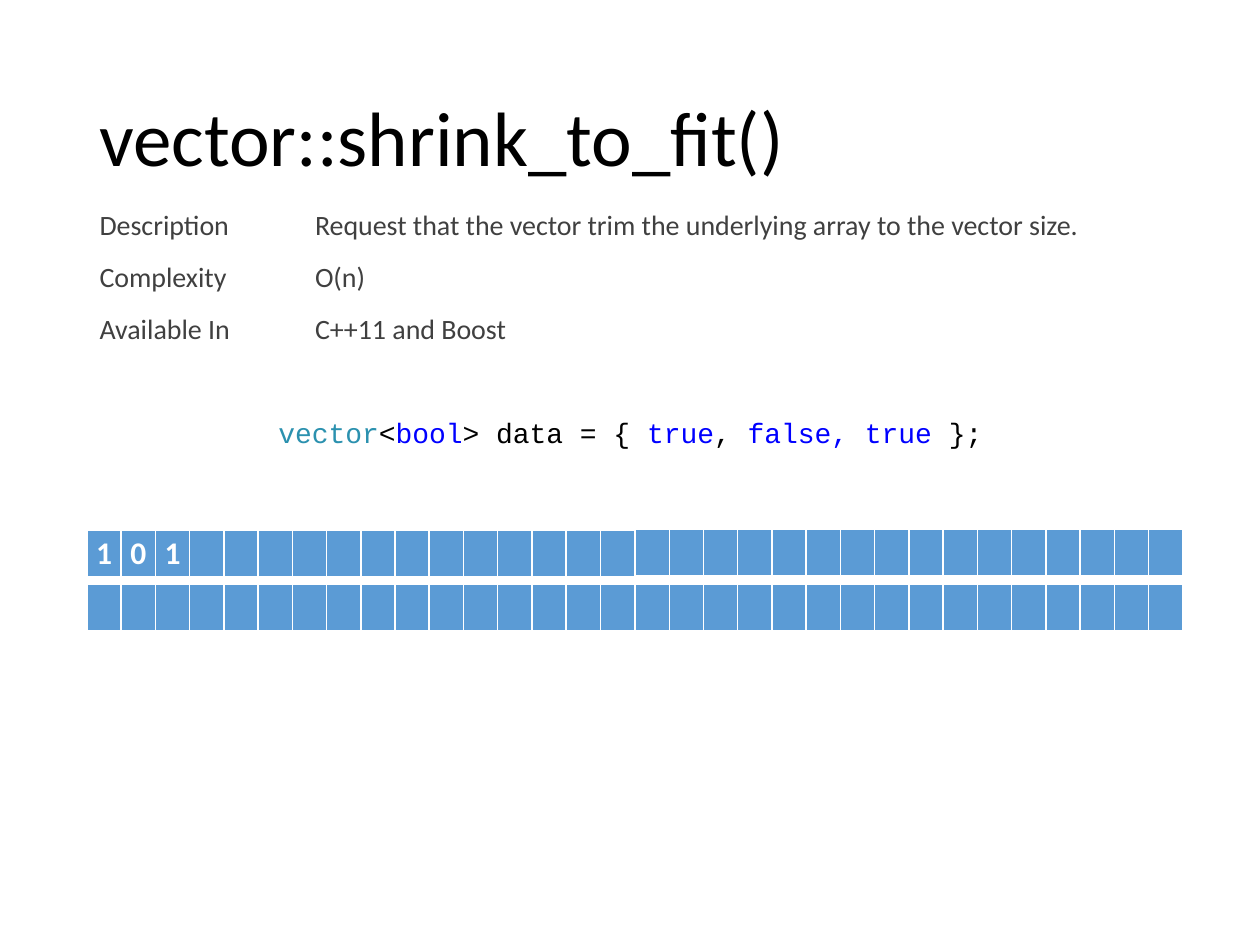
import pptx
import pptx.dml.color
import pptx.enum.text
import pptx.util

Inches = pptx.util.Inches
Align = pptx.enum.text.PP_ALIGN
Anchor = pptx.enum.text.MSO_ANCHOR

COLORS = {
    "black": "000000",
    "body": "404040",
    "type": "2B91AF",
    "keyword": "0000FF",
    "cell": "5B9BD5",
    "white": "FFFFFF",
}


class SlideBuilder:
    """Holds the text style and the current slide."""

    body_font = "Calibri"
    code_font = "Courier New"

    def __init__(self, page):
        self.page = page

    def color(self, name):
        return pptx.dml.color.RGBColor.from_string(COLORS[name])

    def style(self, span, size, color, font=body_font, bold=False):
        span.font.name = font
        span.font.size = pptx.util.Pt(size)
        span.font.bold = bold
        span.font.color.rgb = self.color(color)

    def title(self, text, left, top, width, height):
        box = self.page.shapes.title
        box.left, box.top = Inches(left), Inches(top)
        box.width, box.height = Inches(width), Inches(height)
        frame = box.text_frame
        frame.text = text
        frame.vertical_anchor = Anchor.MIDDLE
        para = frame.paragraphs[0]
        para.alignment = Align.LEFT
        para.line_spacing = 0.9
        self.style(para.runs[0], 44, "black")

    def facts(self, rows, left, top, widths, row_height):
        table = self.page.shapes.add_table(
            len(rows), len(widths), Inches(left), Inches(top),
            Inches(sum(widths)), Inches(row_height * len(rows))).table
        table.first_row = table.horz_banding = False
        for column, width in zip(table.columns, widths):
            column.width = Inches(width)
        for row, texts in zip(table.rows, rows):
            row.height = Inches(row_height)
            for cell, text in zip(row.cells, texts):
                cell.fill.background()
                cell.text_frame.text = text
                self.style(cell.text_frame.paragraphs[0].runs[0], 16, "body")

    def code(self, spans, left, top, width, height):
        box = self.page.shapes.add_textbox(
            Inches(left), Inches(top), Inches(width), Inches(height))
        frame = box.text_frame
        frame.word_wrap = False
        frame.auto_size = pptx.enum.text.MSO_AUTO_SIZE.SHAPE_TO_FIT_TEXT
        frame.vertical_anchor = Anchor.MIDDLE
        frame.margin_left = frame.margin_right = 0
        frame.margin_top = frame.margin_bottom = 0
        for text, color in spans:
            span = frame.paragraphs[0].add_run()
            span.text = text
            self.style(span, 16, color, self.code_font)

    def bits(self, values, left, top, width, height, count=16):
        # The default table style supplies the white cell borders
        table = self.page.shapes.add_table(
            1, count, Inches(left), Inches(top),
            Inches(width), Inches(height)).table
        table.horz_banding = False
        for column in table.columns:
            column.width = Inches(width / count)
        for index, cell in enumerate(table.rows[0].cells):
            cell.fill.solid()
            cell.fill.fore_color.rgb = self.color("cell")
            cell.margin_left = cell.margin_right = Inches(0.06)
            cell.margin_top = cell.margin_bottom = Inches(0.03)
            if index < len(values):
                cell.text_frame.text = values[index]
                para = cell.text_frame.paragraphs[0]
                para.alignment = Align.CENTER
                self.style(para.runs[0], 18, "white", bold=True)


def main():
    deck = pptx.Presentation()
    deck.slide_width, deck.slide_height = Inches(10), Inches(7.5)
    builder = SlideBuilder(deck.slides.add_slide(deck.slide_layouts[5]))

    # Heading and facts about the function
    builder.title("vector::shrink_to_fit()", 0.69, 0.4, 8.62, 1.45)
    builder.facts([
        ("Description", "Request that the vector trim the underlying array to the vector size."),
        ("Complexity", "O(n)"),
        ("Available In", "C++11 and Boost"),
    ], 0.69, 1.61, (1.71, 6.52), 0.41)

    # Declaration
    builder.code([
        ("vector", "type"), ("<", "black"), ("bool", "keyword"),
        ("> data = { ", "black"), ("true", "keyword"), (", ", "black"),
        ("false, true", "keyword"), (" };", "black"),
    ], 2.21, 3.3, 5.67, 0.27)

    # Two words of 32 bits, each made of two halves
    half_width = 4.35
    for values, left, top in (
        ("101", 0.69, 4.21),
        ("", 0.69 + half_width, 4.2),
        ("", 0.69, 4.64),
        ("", 0.69 + half_width, 4.64),
    ):
        builder.bits(values, left, top, half_width, 0.37)

    deck.save("out.pptx")


if __name__ == "__main__":
    main()
